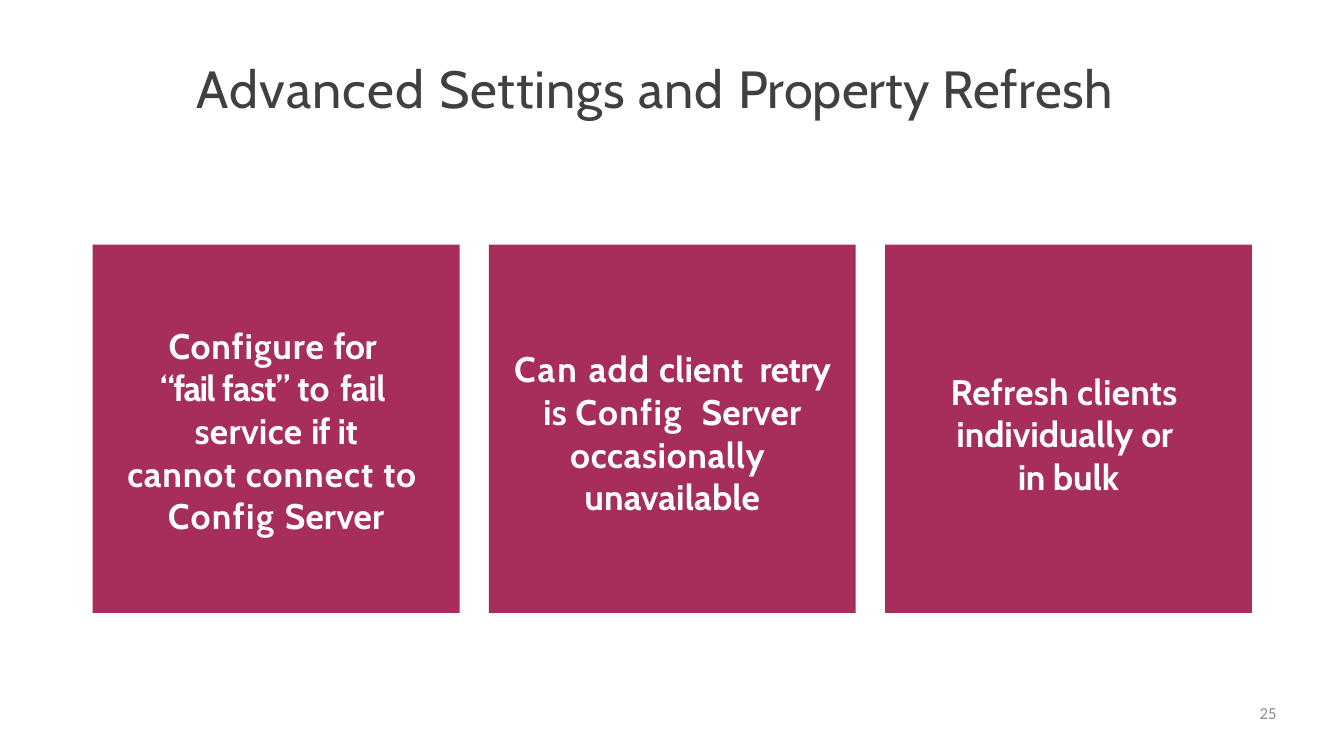
from dataclasses import dataclass

from pptx import Presentation
from pptx import util as u
from pptx.dml.color import RGBColor
from pptx.enum import shapes, text


@dataclass(frozen=True)
class Theme:
    font: str = "Cabin"
    number_font: str = "Calibri"
    title_color: str = "404040"
    card_fill: str = "A62D5C"
    card_text: str = "FFFFFF"
    number_color: str = "8C8C8C"
    title_size: float = 56
    card_size: float = 38
    number_size: float = 18


@dataclass(frozen=True)
class Span:
    words: str
    tracking: float = 0  # points


@dataclass(frozen=True)
class Block:
    margin: float  # inches, on both sides
    spans: list[Span]


@dataclass(frozen=True)
class Card:
    text_top: float  # inches below the card's top edge
    blocks: list[Block]


THEME = Theme()
CARD_LEFT, CARD_TOP = 1.38, 3.64
CARD_WIDTH, CARD_HEIGHT = 5.46, 5.48
CARD_PITCH = 5.895

TITLE = [
    Span("Advanced ", 1.4), Span("Settings ", 0.8), Span("and ", 1.3),
    Span("Property ", 0.1), Span("Refresh", 0.6),
]

CARDS = [
    Card(1.18, [
        Block(0.82, [
            Span("Configure ", 0.9), Span("for  ", -0.5), Span("“fail ", -1.8),
            Span("fast” ", -0.8), Span("t", -0.5), Span("o ", 1.4),
            Span("fail  ", -0.7), Span("service ", 0.4), Span("if ", -1.1),
            Span("it", -0.7),
        ]),
        Block(0.41, [
            Span("cannot ", 0.9), Span("connect ", 1.1), Span("to  ", 0.5),
            Span("Config ", 1.5), Span("Server", 0.2),
        ]),
    ]),
    Card(1.53, [
        Block(0.3, [
            Span("Can ", 2.1), Span("add ", 1.1), Span("client  ", 0.1),
            Span("retry ", -0.6), Span("is ", 0.3), Span("Config  ", 1.5),
            Span("Server ", 0.2), Span("occasionally  ", 0.7),
            Span("unavailable", 0.1),
        ]),
    ]),
    Card(1.86, [
        Block(0.86, [
            Span("Refresh clients  ", 0.3), Span("individually ", -0.1),
            Span("or  ", -0.3), Span("in ", -0.5), Span("bulk", -0.1),
        ]),
    ]),
]


def prepare_frame(frame, top: float = 0) -> None:
    """Wrap text from the top, with no inset but the given top one."""
    frame.word_wrap = True
    frame.auto_size = text.MSO_AUTO_SIZE.NONE
    frame.vertical_anchor = text.MSO_ANCHOR.TOP
    frame.margin_left = frame.margin_right = frame.margin_bottom = 0
    frame.margin_top = u.Inches(top)


def write(para, spans: list[Span], *, size: float, color: str,
          font: str = THEME.font, bold: bool = False,
          align=text.PP_ALIGN.LEFT, margin: float = 0,
          before: float = 0) -> None:
    """Fill a paragraph with tracked runs in one format."""
    para.alignment = align
    para.space_before = u.Pt(before)
    properties = para._p.get_or_add_pPr()
    for side in ("marL", "marR"):
        properties.set(side, str(u.Inches(margin)))
    properties.set("indent", "0")
    for span in spans:
        run = para.add_run()
        run.text = span.words
        run.font.name = font
        run.font.size = u.Pt(size)
        run.font.bold = bold
        run.font.color.rgb = RGBColor.from_string(color)
        if span.tracking:
            run._r.get_or_add_rPr().set("spc", str(round(span.tracking * 100)))


def add_title(page) -> None:
    title = page.shapes.title
    title.left, title.top = u.Inches(2.92), u.Inches(0.82)
    title.width, title.height = u.Inches(14.17), u.Inches(0.96)
    prepare_frame(title.text_frame, top=0.01)
    write(title.text_frame.paragraphs[0], TITLE, size=THEME.title_size,
          color=THEME.title_color, before=1.1)


def add_card(page, card: Card, left: float) -> None:
    box = page.shapes.add_shape(
        shapes.MSO_SHAPE.RECTANGLE, u.Inches(left), u.Inches(CARD_TOP),
        u.Inches(CARD_WIDTH), u.Inches(CARD_HEIGHT))
    box.shadow.inherit = False
    box.fill.solid()
    box.fill.fore_color.rgb = RGBColor.from_string(THEME.card_fill)
    box.line.fill.background()
    frame = box.text_frame
    prepare_frame(frame, top=card.text_top)
    for index, block in enumerate(card.blocks):
        para = frame.add_paragraph() if index else frame.paragraphs[0]
        write(para, block.spans, size=THEME.card_size, color=THEME.card_text,
              bold=True, align=text.PP_ALIGN.CENTER, margin=block.margin)


def add_page_number(page, number: int) -> None:
    box = page.shapes.add_textbox(
        u.Inches(14.4), u.Inches(10.46), u.Inches(4.6), u.Inches(0.56))
    prepare_frame(box.text_frame)
    write(box.text_frame.paragraphs[0], [Span(str(number))],
          size=THEME.number_size, color=THEME.number_color,
          font=THEME.number_font, align=text.PP_ALIGN.RIGHT)


def main() -> None:
    deck = Presentation()
    deck.slide_width, deck.slide_height = u.Inches(20), u.Inches(11.25)
    page = deck.slides.add_slide(deck.slide_layouts.get_by_name("Title Only"))

    # Heading
    add_title(page)

    # Row of equal cards
    for column, card in enumerate(CARDS):
        add_card(page, card, CARD_LEFT + column * CARD_PITCH)

    # Footer
    add_page_number(page, 25)
    deck.save("out.pptx")


if __name__ == "__main__":
    main()
